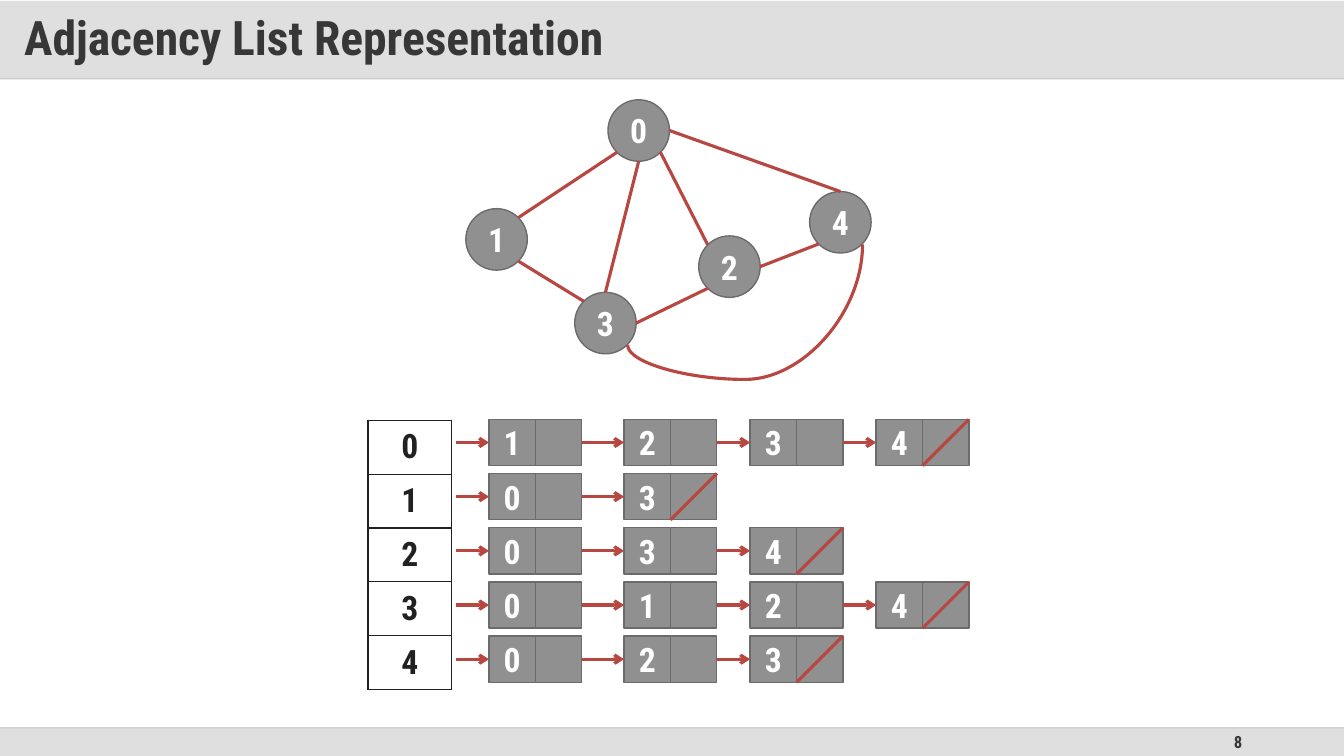
from math import cos, radians, sin

from lxml import etree
from pptx import Presentation
from pptx.dml.color import RGBColor
from pptx.enum.shapes import MSO_CONNECTOR, MSO_SHAPE
from pptx.enum.text import MSO_ANCHOR, PP_ALIGN
from pptx.oxml.ns import qn
from pptx.util import Inches, Pt

RECT, OVAL = MSO_SHAPE.RECTANGLE, MSO_SHAPE.OVAL
STRAIGHT, CURVE = MSO_CONNECTOR.STRAIGHT, MSO_CONNECTOR.CURVE
LEFT, CENTER, RIGHT = PP_ALIGN.LEFT, PP_ALIGN.CENTER, PP_ALIGN.RIGHT
MIDDLE = MSO_ANCHOR.MIDDLE
LEFT_SIDE, RIGHT_SIDE = 1, 3

GRAY, OUTLINE, RED, WHITE = "909090", "6B6B6B", "B84742", "FFFFFF"
DARK, INK, BAND = "373737", "212121", "DFDFDF"


def rgb(code):
    return RGBColor.from_string(code)


def add_alpha(element, percent):
    color = element.find(".//" + qn("a:srgbClr"))
    etree.SubElement(color, qn("a:alpha")).set("val", str(percent * 1000))


class GraphSlide:
    """Draws graph elements on one slide in a shared style."""

    font = "Roboto Condensed"

    def __init__(self, slide):
        self.slide = slide
        self.shapes = slide.shapes

    def label(self, frame, text, size, color, align):
        frame.text = text
        paragraph = frame.paragraphs[0]
        paragraph.alignment = align
        font = paragraph.runs[0].font
        font.name, font.size, font.bold = self.font, Pt(size), True
        font.color.rgb = rgb(color)
        return paragraph

    def band(self, top, height, color):
        band = self.shapes.add_shape(RECT, 0, Inches(top), Inches(13.33), Inches(height))
        band.shadow.inherit = False
        band.fill.solid()
        band.fill.fore_color.rgb = rgb(color)
        band.line.fill.background()
        return band

    def title(self, text):
        banner = self.band(0.01, 0.78, "C0C0C0")
        add_alpha(banner._element.spPr.find(qn("a:solidFill")), 50)
        frame = banner.text_frame
        frame.vertical_anchor = MIDDLE
        frame.margin_left = frame.margin_right = Inches(0.24)
        frame.margin_top = frame.margin_bottom = Inches(0.12)
        self.label(frame, text, 34, DARK, LEFT).line_spacing = 0.9

    def page_number(self, text):
        box = self.shapes.add_textbox(Inches(9.42), Inches(7.22), Inches(3), Inches(0.28))
        box.text_frame.word_wrap = True
        box.text_frame.vertical_anchor = MIDDLE
        self.label(box.text_frame, text, 12, DARK, RIGHT)

    def cell(self, kind, left, top, size, text="", shapes=None):
        cell = (shapes or self.shapes).add_shape(
            kind, Inches(left), Inches(top), Inches(size), Inches(size))
        cell.shadow.inherit = False
        cell.fill.solid()
        cell.fill.fore_color.rgb = rgb(GRAY)
        cell.line.color.rgb = rgb(OUTLINE)
        cell.line.width = Pt(1)
        if text:
            frame = cell.text_frame
            frame.vertical_anchor = MIDDLE
            frame.margin_left = frame.margin_right = 0
            frame.margin_top = frame.margin_bottom = 0
            self.label(frame, text, 24, WHITE, CENTER)
        return cell

    def list_node(self, left, top, size, text):
        group = self.shapes.add_group_shape()
        members = group.shapes
        value = self.cell(RECT, left, top, size, text, members)
        pointer = self.cell(RECT, left + size, top, size, shapes=members)
        return value, pointer

    def line(self, start, end, color=RED, width=2.25, kind=STRAIGHT):
        line = self.shapes.add_connector(kind, *map(Inches, (*start, *end)))
        line.line.color.rgb = rgb(color)
        line.line.width = Pt(width)
        etree.SubElement(line._element.spPr, qn("a:effectLst"))
        return line

    def arrow(self, start, end, source, target):
        arrow = self.line(start, end)
        if source is not None:
            arrow.begin_connect(source, RIGHT_SIDE)
        arrow.end_connect(target, LEFT_SIDE)
        outline = arrow._element.spPr.find(qn("a:ln"))
        etree.SubElement(outline, qn("a:tailEnd")).set("type", "arrow")

    def curve(self, start, end, rotation, bend):
        curve = self.line(start, end, kind=CURVE)
        properties = curve._element.spPr
        properties.find(qn("a:xfrm")).set("rot", str(rotation * 60000))
        guides = properties.find(qn("a:prstGeom")).find(qn("a:avLst"))
        guide = etree.SubElement(guides, qn("a:gd"))
        guide.set("name", "adj1")
        guide.set("fmla", f"val {round(bend * 100000)}")

    def vertex_table(self, left, top, width, row_height, vertices):
        table = self.shapes.add_table(
            len(vertices), 1, Inches(left), Inches(top), Inches(width),
            Inches(row_height * len(vertices))).table
        table.first_row = table.horz_banding = False
        for row, vertex in enumerate(vertices):
            cell = table.cell(row, 0)
            cell.vertical_anchor = MIDDLE
            self.label(cell.text_frame, vertex, 24, INK, CENTER)
            properties = cell._tc.get_or_add_tcPr()
            for side in ("lnL", "lnR", "lnT", "lnB"):
                border = etree.SubElement(properties, qn(f"a:{side}"))
                border.set("w", str(Pt(1)))
                fill = etree.SubElement(border, qn("a:solidFill"))
                etree.SubElement(fill, qn("a:srgbClr")).set("val", INK)
            cell.fill.background()


def draw_graph(page):
    diameter = 0.61
    vertices = {"0": (6.03, 0.99), "1": (4.62, 2.07), "3": (5.7, 2.9),
                "2": (6.93, 2.34), "4": (8.03, 1.9)}
    angles = {"E": 0, "SE": 45, "S": 90, "SW": 135, "NW": 225, "N": 270, "NE": 315}
    edges = [("0", "SW", "1", "NE"), ("1", "SE", "3", "NW"), ("3", "E", "2", "SW"),
             ("2", "E", "4", "SW"), ("0", "S", "3", "N"), ("0", "SE", "2", "NW"),
             ("0", "E", "4", "N")]

    def rim(vertex, side):
        left, top = vertices[vertex]
        angle, radius = radians(angles[side]), diameter / 2
        return left + radius * (1 + cos(angle)), top + radius * (1 + sin(angle))

    for vertex, (left, top) in vertices.items():
        page.cell(OVAL, left, top, diameter, vertex)
    for source, source_side, target, target_side in edges:
        page.line(rim(source, source_side), rim(target, target_side))
    page.curve((7.89, 4.09), (6.89, 1.76), 90, -0.34)


def draw_lists(page):
    neighbours = {"0": "1234", "1": "03", "2": "034", "3": "0124", "4": "023"}
    columns = (4.85, 6.19, 7.44, 8.69)
    size, first_top, last_top = 0.46, 4.16, 6.31
    row_step = (last_top - first_top) / (len(neighbours) - 1)
    page.vertex_table(3.65, 4.17, 0.83, 0.534, list(neighbours))
    for row, linked in enumerate(neighbours.values()):
        top = first_top + row * row_step
        middle = top + size / 2
        previous, arrow_start = None, 4.52
        for left, vertex in zip(columns, linked):
            value, pointer = page.list_node(left, top, size, vertex)
            page.arrow((arrow_start, middle), (left, middle), previous, value)
            previous, arrow_start = pointer, left + 2 * size
        page.line((arrow_start, top), (arrow_start - size, top + size))


def main():
    deck = Presentation()
    deck.slide_width, deck.slide_height = Inches(13.33), Inches(7.5)
    page = GraphSlide(deck.slides.add_slide(deck.slide_layouts[6]))
    page.band(7.22, 0.28, BAND)
    page.page_number("8")
    page.line((0, 0.78), (13.33, 0.78), "D9D9D9", 1)
    footer_rule = page.line((0, 7.22), (13.33, 7.22), "BFBFBF", 1)
    add_alpha(footer_rule._element.spPr, 70)
    page.title("Adjacency List Representation")
    draw_graph(page)
    draw_lists(page)
    deck.save("out.pptx")


if __name__ == "__main__":
    main()
